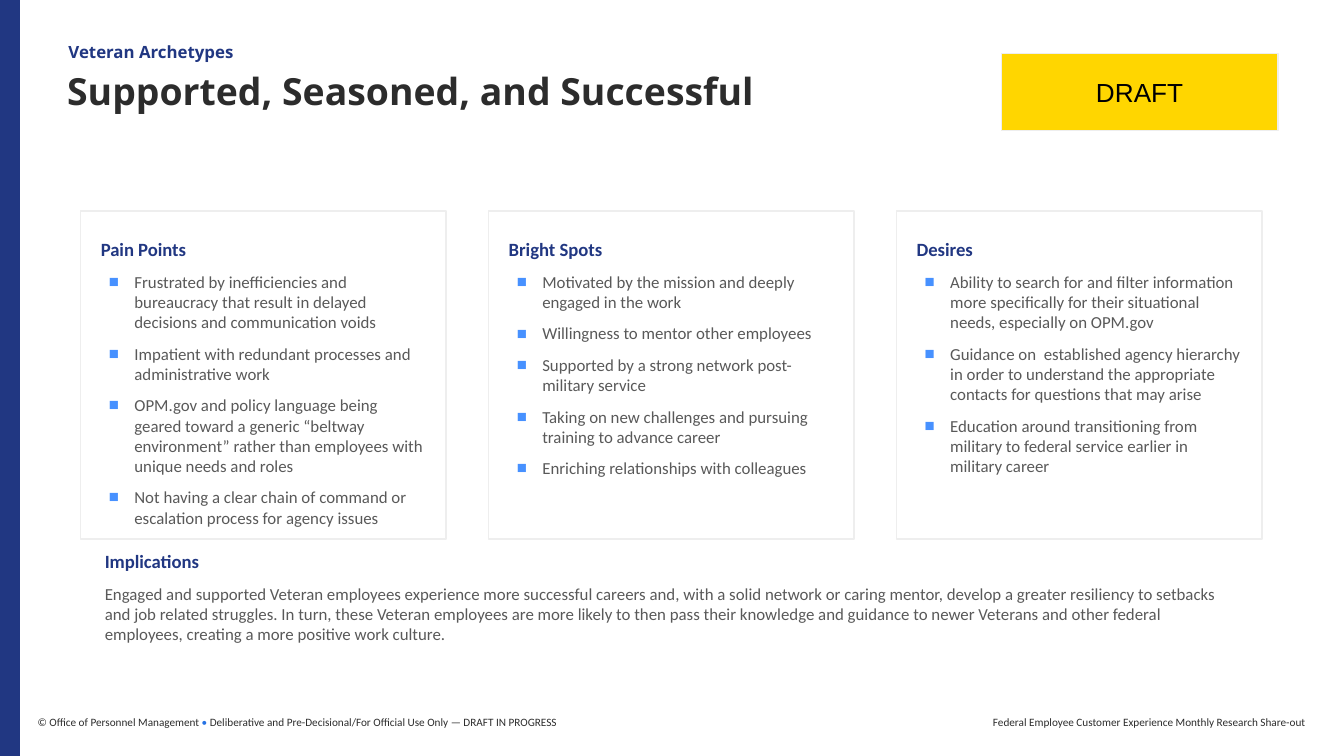
from dataclasses import dataclass

from lxml.etree import SubElement
from pptx import Presentation
from pptx.dml.color import RGBColor
from pptx.enum.shapes import MSO_SHAPE
from pptx.enum.text import MSO_ANCHOR, PP_ALIGN
from pptx.oxml.ns import qn
from pptx.util import Inches, Pt

LABEL = "Veteran Archetypes"
TITLE = "Supported, Seasoned, and Successful"
STAMP = "DRAFT"
CARDS = {
    "Pain Points": [
        "Frustrated by inefficiencies and bureaucracy that result in delayed decisions and communication voids",
        "Impatient with redundant processes and administrative work",
        "OPM.gov and policy language being geared toward a generic “beltway environment” rather than employees with unique needs and roles",
        "Not having a clear chain of command or escalation process for agency issues",
    ],
    "Bright Spots": [
        "Motivated by the mission and deeply engaged in the work",
        "Willingness to mentor other employees",
        "Supported by a strong network post-military service",
        "Taking on new challenges and pursuing training to advance career",
        "Enriching relationships with colleagues",
    ],
    "Desires": [
        "Ability to search for and filter information more specifically for their situational needs, especially on OPM.gov",
        "Guidance on  established agency hierarchy in order to understand the appropriate contacts for questions that may arise",
        "Education around transitioning from military to federal service earlier in military career",
    ],
}
OUTCOME = (
    "Implications",
    "Engaged and supported Veteran employees experience more successful careers and, with a solid network or caring mentor, develop a greater resiliency to setbacks and job related struggles. In turn, these Veteran employees are more likely to then pass their knowledge and guidance to newer Veterans and other federal employees, creating a more positive work culture.",
)
OWNER = "© Office of Personnel Management "
DOT = "•"
NOTICE = " Deliberative and Pre-Decisional/For Official Use Only — DRAFT IN PROGRESS"
REPORT = "Federal Employee Customer Experience Monthly Research Share-out"


@dataclass(frozen=True)
class Theme:
    navy: str = "213782"
    ink: str = "2C2C2C"
    gray: str = "595959"
    edge: str = "EEEEEE"
    white: str = "FFFFFF"
    gold: str = "FFD600"
    black: str = "000000"
    mark: str = "4791FF"
    dot: str = "2572E4"
    body: str = "Calibri"
    head: str = "Open Sans"
    stamp: str = "Arial"


T = Theme()
TITLE_F = dict(name=T.head, size=20, color=T.ink, bold=True)
LABEL_F = dict(name=T.head, size=9, color=T.navy, bold=True)
HEAD_F = dict(name=T.body, size=10, color=T.navy, bold=True)
BODY_F = dict(name=T.body, size=9, color=T.gray, bold=False)
FOOT_F = dict(name=T.body, size=6, color=T.ink, bold=False)
DOT_F = FOOT_F | dict(color=T.dot)
STAMP_F = dict(name=T.stamp, size=14, color=T.black, bold=False)

WIDE = 10
HIGH = WIDE * 9 / 16
BAR = 0.15
LEFT, TOP, CARD_W, CARD_H = 0.6, 1.57, 2.72, 2.44
RIGHT = 9.39
STEP = (RIGHT - LEFT - CARD_W) / (len(CARDS) - 1)
FOOT_Y, FOOT_H = 5.23, 0.28


def style(font, form):
    for key, val in form.items():
        if key == "color":
            font.color.rgb = RGBColor.from_string(val)
        else:
            setattr(font, key, Pt(val) if key == "size" else val)


def setup(shape, pad, anchor):
    """Set wrap, anchor and left, top, right, bottom insets."""
    frame = shape.text_frame
    frame.word_wrap = True
    frame.vertical_anchor = anchor
    for side, val in zip(("left", "top", "right", "bottom"), pad):
        setattr(frame, f"margin_{side}", Inches(val))
    return frame


def box(slide, at, pad=(0, 0, 0, 0.1), anchor=MSO_ANCHOR.TOP):
    return setup(slide.shapes.add_textbox(*map(Inches, at)), pad, anchor)


def panel(slide, at, fill, edge=None):
    shape = slide.shapes.add_shape(MSO_SHAPE.RECTANGLE, *map(Inches, at))
    shape.shadow.inherit = False
    shape.fill.solid()
    shape.fill.fore_color.rgb = RGBColor.from_string(fill)
    if edge:
        shape.line.color.rgb = RGBColor.from_string(edge)
        shape.line.width = Pt(0.75)
    else:
        shape.line.fill.background()
    return shape


def write(frame, *runs, align=PP_ALIGN.LEFT, before=0, after=0, mark=False):
    """Add one paragraph made of (text, format) runs."""
    para = frame.paragraphs[0]
    if para.runs:
        para = frame.add_paragraph()
    para.alignment = align
    para.space_before, para.space_after = Pt(before), Pt(after)
    if mark:
        bullet(para)
    for text, form in runs:
        run = para.add_run()
        run.text = text
        style(run.font, form)


def bullet(para):
    props = para._p.get_or_add_pPr()
    props.set("marL", str(Inches(0.25)))
    props.set("indent", str(Inches(-0.19)))
    color = SubElement(props, qn("a:buClr"))
    SubElement(color, qn("a:srgbClr"), val=T.mark)
    SubElement(props, qn("a:buFont"), typeface=T.stamp)
    SubElement(props, qn("a:buChar"), char="■")


def main():
    deck = Presentation()
    deck.slide_width, deck.slide_height = Inches(WIDE), Inches(HIGH)
    slide = deck.slides.add_slide(deck.slide_layouts[6])
    back = slide.background.fill
    back.solid()
    back.fore_color.rgb = RGBColor.from_string(T.navy)
    panel(slide, (BAR, 0, WIDE - BAR, HIGH), T.white)

    pad = (0, 0.1, 0, 0.1)
    foot = box(slide, (0.28, FOOT_Y, 4.5, FOOT_H), pad, MSO_ANCHOR.MIDDLE)
    write(foot, (OWNER, FOOT_F), (DOT, DOT_F), (NOTICE, FOOT_F))
    foot = box(slide, (5.84, FOOT_Y, 3.87, FOOT_H), pad, MSO_ANCHOR.MIDDLE)
    write(foot, (REPORT, FOOT_F), align=PP_ALIGN.RIGHT)

    write(box(slide, (0.5, 0.51, 5.8, 0.78)), (TITLE, TITLE_F))
    label = box(slide, (0.51, 0.28, 3.2, 0.18), (0, 0, 0, 0), MSO_ANCHOR.BOTTOM)
    write(label, (LABEL, LABEL_F))

    for col, (head, items) in enumerate(CARDS.items()):
        card = panel(slide, (LEFT + col * STEP, TOP, CARD_W, CARD_H), T.white, T.edge)
        frame = setup(card, (0.15, 0.2, 0.15, 0.15), MSO_ANCHOR.TOP)
        write(frame, (head, HEAD_F))
        for item in items:
            write(frame, (item, BODY_F), before=6, mark=True)

    head, text = OUTCOME
    frame = box(slide, (0.78, 4.09, 8.44, 0.89))
    write(frame, (head, HEAD_F))
    write(frame, (text, BODY_F), before=6, after=6)

    stamp = panel(slide, (7.45, 0.4, 2.06, 0.57), T.gold, T.edge)
    frame = setup(stamp, (0.1,) * 4, MSO_ANCHOR.MIDDLE)
    write(frame, (STAMP, STAMP_F), align=PP_ALIGN.CENTER)
    deck.save("out.pptx")


if __name__ == "__main__":
    main()
